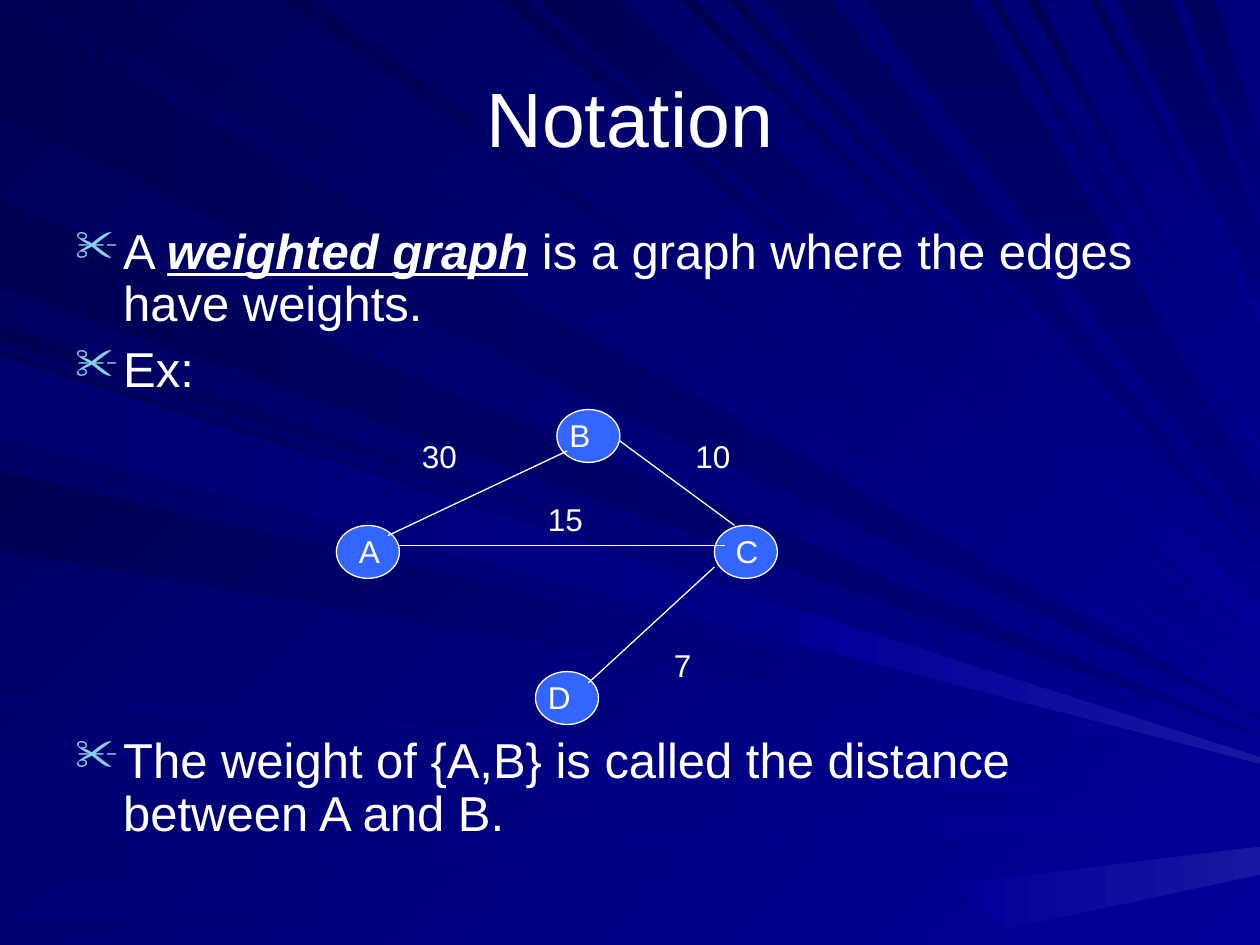
from lxml import etree
from pptx import Presentation
from pptx.dml.color import RGBColor
from pptx.enum.shapes import MSO_CONNECTOR, MSO_SHAPE
from pptx.enum.text import MSO_ANCHOR, PP_ALIGN
from pptx.oxml.ns import qn
from pptx.util import Inches, Pt

FONT = "Arial"
WIDTH, HEIGHT = 10, 7.5
COLORS = {"back": "000058", "bright": "000099", "mid": "000080", "pale": "1717A2",
          "dark": "000053", "dusk": "00005D", "soft": "000071",
          "text": "FFFFFF", "node": "3366FF", "bullet": "86D1EC"}

# Gradients: start colour, end colour, angle
GRADIENTS = {"back": ("back", "bright", 45), "haze": ("dark", "mid", 0),
             "drop": ("dusk", "mid", 90), "deep": ("dark", "bright", 45),
             "soft": ("soft", "bright", 0), "glow": ("bright", "pale", 0)}

# Rays from the left or top side to the right side:
# gradient, side, start span, height(s) reached on the right
RAYS = [
    ("haze", "left", 0.02, 0.93, 5.7),
    ("deep", "top", 0.26, 1.01, 5.63),
    ("soft", "left", 5.96, 6.23, 6.32),
    ("soft", "left", 6.65, 7.04, 6.43, 6.51),
    ("soft", "left", 7.35, 7.55, 6.62),
    ("deep", "left", 2.58, 2.7, 5.89),
    ("haze", "left", 1.59, 2.28, 5.84),
    ("deep", "top", 3.98, 4.16, 5.15, 5.21),
    ("deep", "top", 4.26, 4.92, 4.79, 5.07),
    ("deep", "top", 5.4, 5.52, 4.63),
    ("drop", "top", 6.06, 6.61, 4.46),
    ("drop", "top", 8.87, 9.3, 1.83, 2.37),
    ("drop", "top", 9.39, 9.64, 1.14, 1.67),
    ("deep", "left", 2.78, 3.42, 6),
    ("deep", "left", 3.74, 4.37, 6.06),
    ("soft", "left", 5.52, 5.6, 6.22),
    ("deep", "top", 2.25, 2.47, 5.47, 5.52),
    ("deep", "top", 5.77, 5.88, 4.54),
    ("drop", "top", 6.86, 7.7, 3.9, 4.28),
    ("deep", "top", 7.85, 7.92, 3.54, 3.6),
    ("deep", "top", 8.15, 8.24, 3.36),
    ("deep", "top", 8.65, 8.72, 2.49, 2.58),
    ("soft", "left", 2.83, 3.47, 6.01, 6.06),
]
# Lighter ends of two rays
GLOWS = [[(10, 6.94), (10, 6.72), (7.56, 7.02), (8, 7.37)],
         [(10, 6.01), (6.37, 4.85), (6.33, 5.11), (10, 6.06)]]

TITLE = "Notation"
# Bullet boxes: top, height, paragraphs as (text, emphasized) spans
BULLET_BOXES = [
    (1.75, 1.5, [[("A ", False), ("weighted graph", True),
                  (" is a graph where the edges have weights.", False)],
                 [("Ex:", False)]]),
    (5.79, 1.29, [[("The weight of {A,B} is called the distance between A and B.", False)]]),
]

# Graph: node name, left, top, label shift; edge start and end; weight and place
NODES = [("A", 2.67, 4.17, 0.08), ("B", 4.42, 3.25, 0),
         ("C", 5.67, 4.17, 0.07), ("D", 4.25, 5.33, 0)]
EDGES = [((3.08, 4.25), (4.5, 3.58)), ((4.67, 5.42), (5.67, 4.5)),
         ((3.17, 4.33), (5.75, 4.33)), ((4.92, 3.5), (5.83, 4.17))]
WEIGHTS = [("30", 3.25, 3.42), ("10", 5.42, 3.42), ("15", 4.25, 3.92), ("7", 5.25, 5.08)]


def rgb(name):
    return RGBColor.from_string(COLORS[name])


def fill_gradient(fill, name):
    start, end, angle = GRADIENTS[name]
    fill.gradient()
    fill.gradient_angle = -angle % 360
    for stop, color in zip(fill.gradient_stops, (start, end)):
        stop.color.rgb = rgb(color)


def add_polygon(page, gradient, points):
    corners = [(Inches(x), Inches(y)) for x, y in points]
    builder = page.shapes.build_freeform(*corners[0])
    builder.add_line_segments(corners[1:], close=True)
    polygon = builder.convert_to_shape()
    polygon.shadow.inherit = False
    polygon.line.fill.background()
    fill_gradient(polygon.fill, gradient)


def add_ray(page, gradient, side, first, last, *ends):
    if side == "left":
        base = [(0, min(last, HEIGHT)), (0, first)]
        tip = [(WIDTH, ends[0]), (WIDTH, ends[-1])]
    else:
        base = [(first, 0), (last, 0)]
        tip = [(WIDTH, ends[0]), (WIDTH, ends[-1])]
    add_polygon(page, gradient, base + tip)


def style(font, size):
    font.name, font.size = FONT, Pt(size)
    font.color.rgb = rgb("text")


def add_text(page, text, left, top, width, height, size):
    box = page.shapes.add_textbox(Inches(left), Inches(top), Inches(width), Inches(height))
    box.text_frame.word_wrap = True
    box.text_frame.text = text
    for span in box.text_frame.paragraphs[0].runs:
        style(span.font, size)
    return box


def set_bullet(para):
    props = para._p.get_or_add_pPr()
    props.set("marL", str(Inches(0.38)))
    props.set("indent", str(-Inches(0.38)))
    color = etree.SubElement(props, qn("a:buClr"))
    etree.SubElement(color, qn("a:srgbClr"), val=COLORS["bullet"])
    etree.SubElement(props, qn("a:buSzPct"), val="90000")
    etree.SubElement(props, qn("a:buChar"), char="✂")


def add_bullets(page, top, height, paragraphs):
    frame = add_text(page, "", 0.5, top, 9, height, 28).text_frame
    for index, spans in enumerate(paragraphs):
        para = frame.add_paragraph() if index else frame.paragraphs[0]
        set_bullet(para)
        para.line_spacing = 0.9
        para.space_before = Pt(7 if index else 0)
        for text, emphasized in spans:
            span = para.add_run()
            span.text = text
            style(span.font, 28)
            if emphasized:
                span.font.bold = span.font.italic = span.font.underline = True


def add_node(page, left, top):
    node = page.shapes.add_shape(MSO_SHAPE.OVAL, Inches(left), Inches(top),
                                 Inches(0.5), Inches(0.42))
    node.shadow.inherit = False
    node.fill.solid()
    node.fill.fore_color.rgb = rgb("node")
    node.line.color.rgb = rgb("text")
    node.line.width = Pt(0.75)


def add_edge(page, start, end):
    edge = page.shapes.add_connector(MSO_CONNECTOR.STRAIGHT,
                                     *(Inches(value) for value in start + end))
    edge.line.color.rgb = rgb("text")
    edge.line.width = Pt(0.75)
    etree.SubElement(edge._element.spPr, qn("a:effectLst"))


def main():
    deck = Presentation()
    deck.slide_width, deck.slide_height = Inches(WIDTH), Inches(HEIGHT)
    page = deck.slides.add_slide(deck.slide_layouts[6])

    # Background
    fill_gradient(page.background.fill, "back")
    for ray in RAYS:
        add_ray(page, *ray)
    for points in GLOWS:
        add_polygon(page, "glow", points)

    # Title and bullets
    title = add_text(page, TITLE, 0.5, 0.3, 9, 1.25, 44)
    title.text_frame.vertical_anchor = MSO_ANCHOR.MIDDLE
    title.text_frame.paragraphs[0].alignment = PP_ALIGN.CENTER
    for bullets in BULLET_BOXES:
        add_bullets(page, *bullets)

    # Weighted graph
    for name, left, top, shift in NODES:
        add_node(page, left, top)
    for start, end in EDGES:
        add_edge(page, start, end)
    for name, left, top, shift in NODES:
        add_text(page, name, left + shift, top, 0.58, 0.4, 18)
    for weight, left, top in WEIGHTS:
        add_text(page, weight, left, top, 0.5, 0.4, 18)

    deck.save("out.pptx")


if __name__ == "__main__":
    main()
